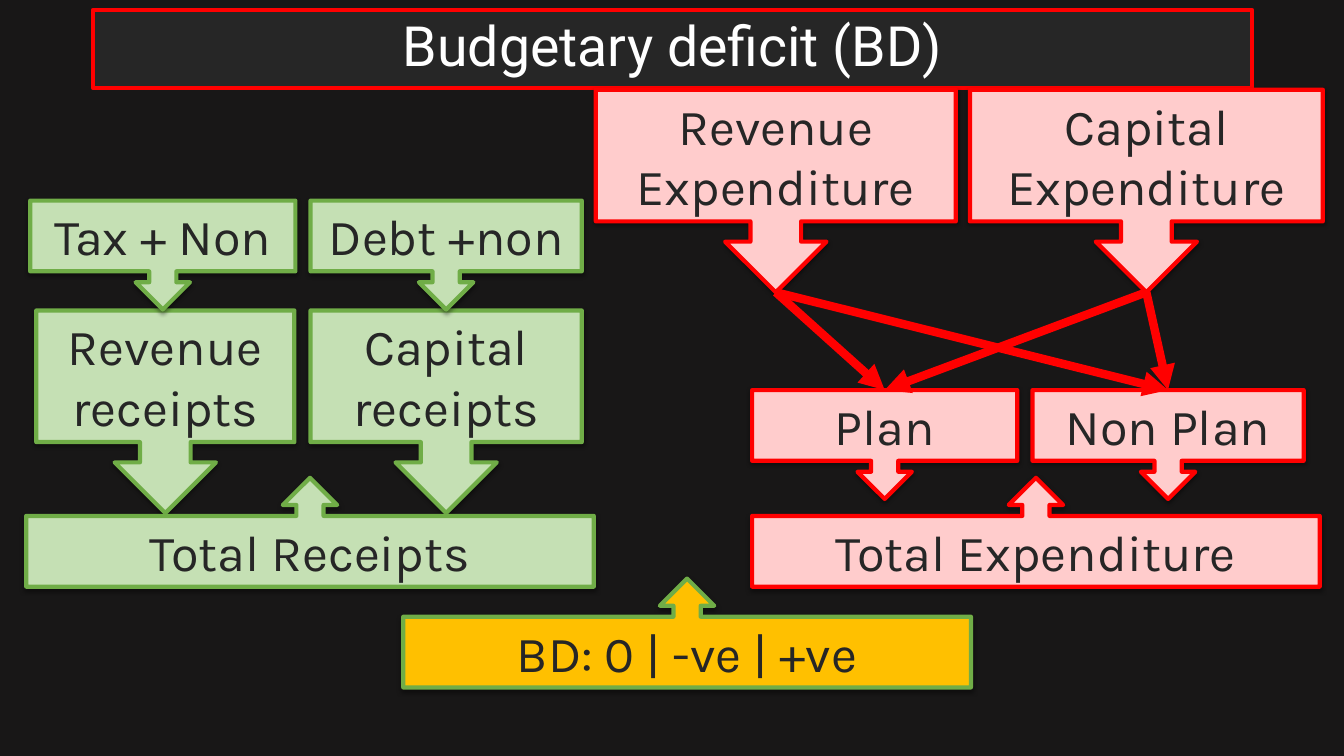
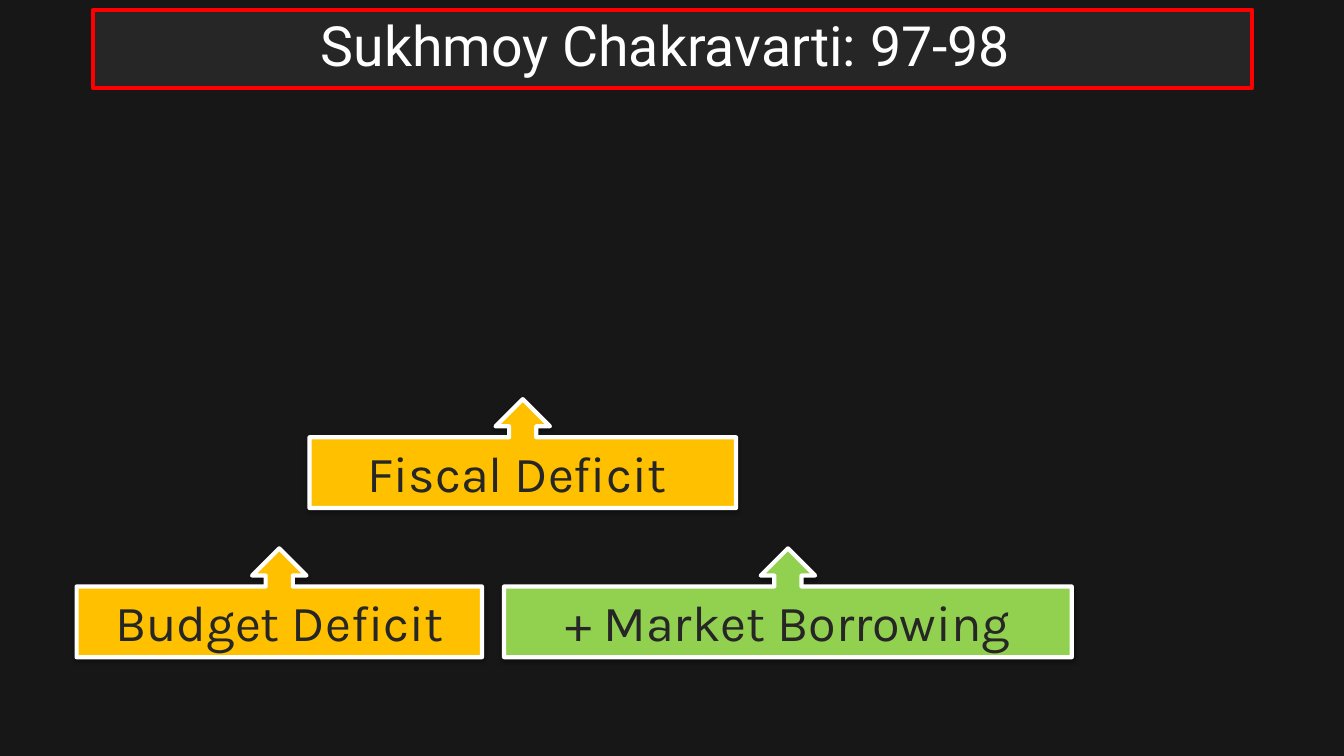
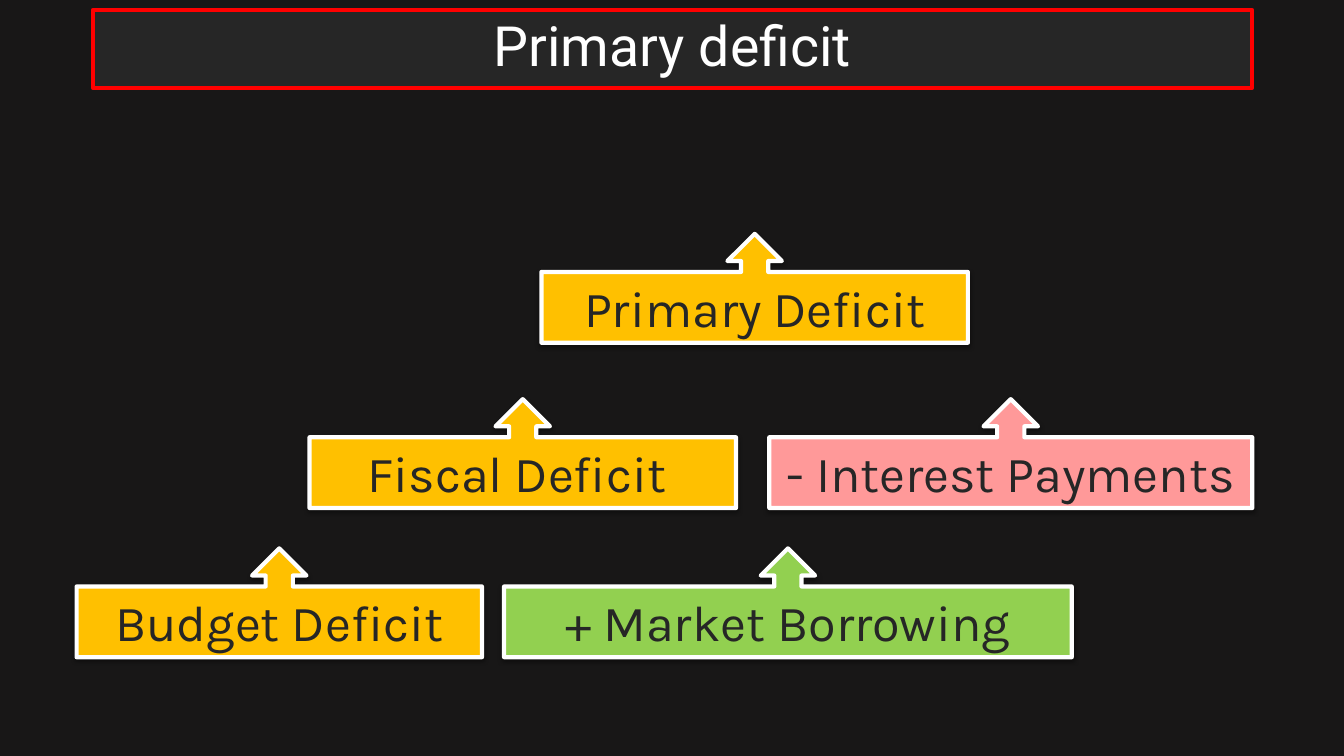
from pptx import Presentation
from pptx.dml.color import RGBColor
from pptx.enum.shapes import MSO_CONNECTOR, MSO_SHAPE
from pptx.enum.text import MSO_ANCHOR, MSO_AUTO_SIZE, PP_ALIGN
from pptx.oxml import parse_xml
from pptx.oxml.ns import nsdecls
from pptx.util import Inches, Pt

COLORS = {
    "background": "181717", "band": "262626", "text": "262626",
    "white": "FFFFFF", "red": "FF0000", "green_line": "70AD47",
    "receipt": "C5E0B4", "expense": "FFCCCC", "deficit": "FFC000",
    "borrowing": "92D050", "interest": "FF9999",
}
RGB = {name: RGBColor.from_string(value) for name, value in COLORS.items()}
DOWN, UP = MSO_SHAPE.DOWN_ARROW_CALLOUT, MSO_SHAPE.UP_ARROW_CALLOUT
TALL, SHORT = 2.01, 1.08

SHADOW = f"""<a:effectLst {nsdecls('a')}>
  <a:outerShdw blurRad="39370" dist="20320" dir="5400000" rotWithShape="0">
    <a:srgbClr val="000000"><a:alpha val="38000"/></a:srgbClr>
  </a:outerShdw>
</a:effectLst>"""
NO_EFFECT = f"<a:effectLst {nsdecls('a')}/>"
ARROWHEAD = f'<a:tailEnd {nsdecls("a")} type="triangle"/>'


def write_text(shape, text, font="Karla", size=36, color="text",
               anchor=MSO_ANCHOR.TOP, fit=MSO_AUTO_SIZE.SHAPE_TO_FIT_TEXT, spacing=None):
    frame = shape.text_frame
    frame.text = text
    frame.word_wrap = True
    frame.auto_size = fit
    frame.vertical_anchor = anchor
    for paragraph in frame.paragraphs:
        paragraph.alignment = PP_ALIGN.CENTER
        paragraph.line_spacing = spacing
        paragraph.font.name = font
        paragraph.font.size = Pt(size)
        paragraph.font.color.rgb = RGB[color]


def paint(shape, fill, line):
    shape.fill.solid()
    shape.fill.fore_color.rgb = RGB[fill]
    shape.line.color.rgb = RGB[line]
    shape.line.width = Pt(3)


# Callouts: text, preset, left, top, width, height, fill, line
receipts = [
    ("Revenue\nreceipts", DOWN, 0.36, 3.08, 2.56, TALL, "receipt", "green_line"),
    ("Capital\nreceipts", DOWN, 3.08, 3.08, 2.69, TALL, "receipt", "green_line"),
    ("Tax + Non", DOWN, 0.3, 1.99, 2.63, SHORT, "receipt", "green_line"),
    ("Debt +non", DOWN, 3.08, 1.99, 2.69, SHORT, "receipt", "green_line"),
    ("Total Receipts", UP, 0.26, 4.74, 5.63, SHORT, "receipt", "green_line"),
]
expenditure = [
    ("Revenue\nExpenditure", DOWN, 5.91, 0.89, 3.57, TALL, "expense", "red"),
    ("Capital\nExpenditure", DOWN, 9.62, 0.89, 3.5, TALL, "expense", "red"),
    ("Plan", DOWN, 7.46, 3.87, 2.63, SHORT, "expense", "red"),
    ("Non Plan", DOWN, 10.24, 3.87, 2.69, SHORT, "expense", "red"),
    ("Total Expenditure", UP, 7.46, 4.74, 5.63, SHORT, "expense", "red"),
]
balance = [("BD: 0 | -ve | +ve", UP, 4, 5.74, 5.63, SHORT, "deficit", "green_line")]
fiscal = [
    ("Budget Deficit", UP, 0.76, 5.44, 4.02, SHORT, "deficit", "white"),
    ("Fiscal Deficit ", UP, 3.07, 3.96, 4.23, SHORT, "deficit", "white"),
    ("+ Market Borrowing", UP, 5, 5.44, 5.63, SHORT, "borrowing", "white"),
]
primary = [
    ("- Interest Payments", UP, 7.63, 3.96, 4.79, SHORT, "interest", "white"),
    ("Primary Deficit", UP, 5.37, 2.32, 4.23, SHORT, "deficit", "white"),
]

# Spending arrows, from callout to callout
spending = [(source, target)
            for source in ("Revenue\nExpenditure", "Capital\nExpenditure")
            for target in ("Plan", "Non Plan")]

topics = [
    ("Budgetary deficit (BD)", receipts + expenditure + balance, spending),
    ("Sukhmoy Chakravarti: 97-98 ", fiscal, []),
    ("Primary deficit", fiscal + primary, []),
]

# Deck and shared background
prs = Presentation()
prs.slide_width, prs.slide_height = Inches(13.33), Inches(7.5)
background = prs.slide_master.background.fill
background.solid()
background.fore_color.rgb = RGB["background"]

for heading, callouts, links in topics:
    slide = prs.slides.add_slide(prs.slide_layouts[5])

    # Title band
    title = slide.shapes.title
    title.left, title.top = Inches(0.92), Inches(0.1)
    title.width, title.height = Inches(11.5), Inches(0.77)
    paint(title, "band", "red")
    write_text(title, heading, font="Roboto", size=39.6, color="white",
               anchor=MSO_ANCHOR.MIDDLE, fit=MSO_AUTO_SIZE.NONE, spacing=0.9)

    # Callouts
    boxes = {}
    for text, preset, left, top, width, height, fill, line in callouts:
        box = slide.shapes.add_shape(preset, Inches(left), Inches(top),
                                     Inches(width), Inches(height))
        paint(box, fill, line)
        box._element.spPr.append(parse_xml(SHADOW))
        write_text(box, text)
        boxes[text] = box

    # Arrows between callouts
    for source, target in links:
        arrow = slide.shapes.add_connector(MSO_CONNECTOR.STRAIGHT, 0, 0, 0, 0)
        arrow.begin_connect(boxes[source], 2)
        arrow.end_connect(boxes[target], 0)
        arrow.line.color.rgb = RGB["red"]
        arrow.line.width = Pt(6)
        arrow.line._get_or_add_ln().append(parse_xml(ARROWHEAD))
        arrow._element.spPr.append(parse_xml(NO_EFFECT))

prs.save("out.pptx")
